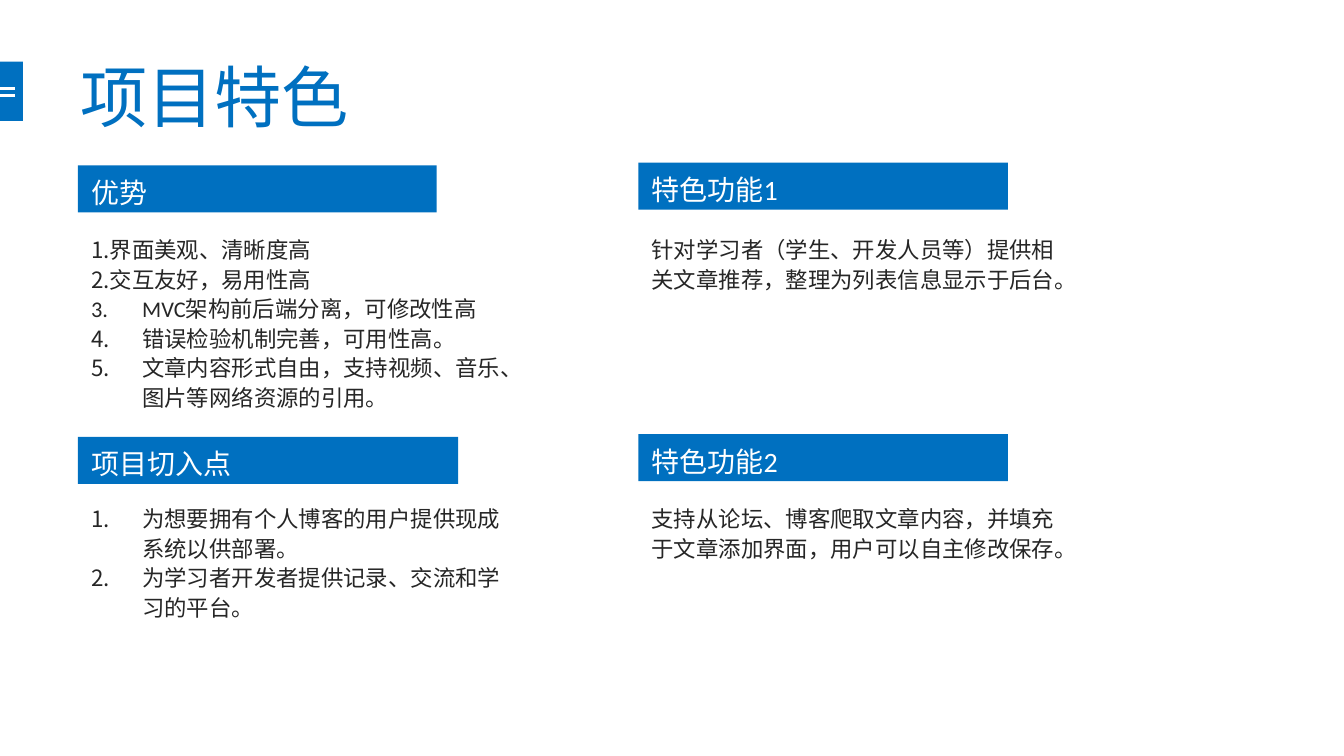
from lxml import etree
from pptx import Presentation
from pptx.dml.color import RGBColor
from pptx.enum import shapes, text
from pptx.oxml import ns
from pptx.util import Inches, Pt

COLORS = {"blue": "0070C0", "ink": "262626", "white": "FFFFFF"}
SLIDE_WIDTH = 10
SLIDE_HEIGHT = SLIDE_WIDTH * 9 / 16
HANG = 0.38
LEFT, RIGHT = 0.58, 4.75
BODY_WIDTH = 3.33
BAR_HEIGHT = 0.35

# Each section: x, bar y, bar width, heading, body y, body height, font,
# and paragraphs as (text, number start or None, hanging indent)
SECTIONS = [
    (LEFT, 1.23, 2.67, "优势", 1.69, 1.38, "Calibri", [
        ("界面美观、清晰度高", 1, 0),
        ("交互友好，易用性高", 1, 0),
        ("MVC架构前后端分离，可修改性高", 3, HANG),
        ("错误检验机制完善，可用性高。", 3, HANG),
        ("文章内容形式自由，支持视频、音乐、图片等网络资源的引用。", 3, HANG),
    ]),
    (RIGHT, 1.21, 2.75, "特色功能1", 1.69, 1, "Calibri", [
        ("针对学习者（学生、开发人员等）提供相关文章推荐，整理为列表信息显示于后台。", None, 0),
    ]),
    (LEFT, 3.25, 2.83, "项目切入点", 3.69, 1, "Calibri", [
        ("为想要拥有个人博客的用户提供现成系统以供部署。", 1, HANG),
        ("为学习者开发者提供记录、交流和学习的平台。", 1, HANG),
    ]),
    (RIGHT, 3.23, 2.75, "特色功能2", 3.69, 1, "Arial", [
        ("支持从论坛、博客爬取文章内容，并填充于文章添加界面，用户可以自主修改保存。", None, 0),
    ]),
]


def rgb(name):
    return RGBColor.from_string(COLORS[name])


def add_rect(s, x, y, w, h):
    sp = s.shapes.add_shape(shapes.MSO_SHAPE.RECTANGLE,
                            Inches(x), Inches(y), Inches(w), Inches(h))
    sp.shadow.inherit = False
    sp.fill.solid()
    sp.fill.fore_color.rgb = rgb("blue")
    sp.line.fill.background()
    return sp


def add_line(s, x1, y1, x2, y2):
    line = s.shapes.add_connector(shapes.MSO_CONNECTOR.STRAIGHT,
                                  Inches(x1), Inches(y1), Inches(x2), Inches(y2))
    line.line.color.rgb = rgb("white")
    line.line.width = Pt(1.5)
    etree.SubElement(line._element.spPr, ns.qn("a:effectLst"))


def add_text_box(s, x, y, w, h, anchor=text.MSO_ANCHOR.TOP):
    tf = s.shapes.add_textbox(Inches(x), Inches(y), Inches(w), Inches(h)).text_frame
    tf.word_wrap = True
    tf.vertical_anchor = anchor
    return tf


def write(p, words, size, color, font="Calibri", spacing=1.1):
    p.alignment = text.PP_ALIGN.LEFT
    p.line_spacing = spacing
    r = p.add_run()
    r.text = words
    r.font.size = Pt(size)
    r.font.name = font
    r.font.color.rgb = rgb(color)


def number(p, start, hang):
    """Turn the paragraph into a numbered item with a hanging indent."""
    pPr = p._p.get_or_add_pPr()
    pPr.set("marL", str(Inches(hang)))
    pPr.set("indent", str(-Inches(hang)))
    clr = etree.SubElement(pPr, ns.qn("a:buClr"))
    etree.SubElement(clr, ns.qn("a:srgbClr"), val=COLORS["ink"])
    etree.SubElement(pPr, ns.qn("a:buFont"), typeface="+mj-lt")
    auto = etree.SubElement(pPr, ns.qn("a:buAutoNum"), type="arabicPeriod")
    if start > 1:
        auto.set("startAt", str(start))


def add_heading_bar(s, x, y, w, heading):
    tf = add_rect(s, x, y, w, BAR_HEIGHT).text_frame
    tf.word_wrap = True
    tf.vertical_anchor = text.MSO_ANCHOR.TOP
    write(tf.paragraphs[0], heading, 15, "white")


def add_body(s, x, y, h, font, items):
    tf = add_text_box(s, x, y, BODY_WIDTH, h)
    for i, (words, start, hang) in enumerate(items):
        p = tf.add_paragraph() if i else tf.paragraphs[0]
        write(p, words, 12, "ink", font)
        if start:
            number(p, start, hang)


def add_title(s, title):
    add_rect(s, 0, 0.46, 0.17, 0.44)
    for y in (0.66, 0.71):
        add_line(s, 0, y, 0.11, y)
    tf = add_text_box(s, 0.5, 0.48, 8.33, 0.46, text.MSO_ANCHOR.MIDDLE)
    write(tf.paragraphs[0], title, 36, "blue", spacing=1.0)


def main():
    prs = Presentation()
    prs.slide_width, prs.slide_height = Inches(SLIDE_WIDTH), Inches(SLIDE_HEIGHT)
    s = prs.slides.add_slide(prs.slide_layouts[6])
    add_title(s, "项目特色")
    for x, bar_y, bar_w, heading, body_y, body_h, font, items in SECTIONS:
        add_heading_bar(s, x, bar_y, bar_w, heading)
        add_body(s, x, body_y, body_h, font, items)
    prs.save("out.pptx")


if __name__ == "__main__":
    main()
